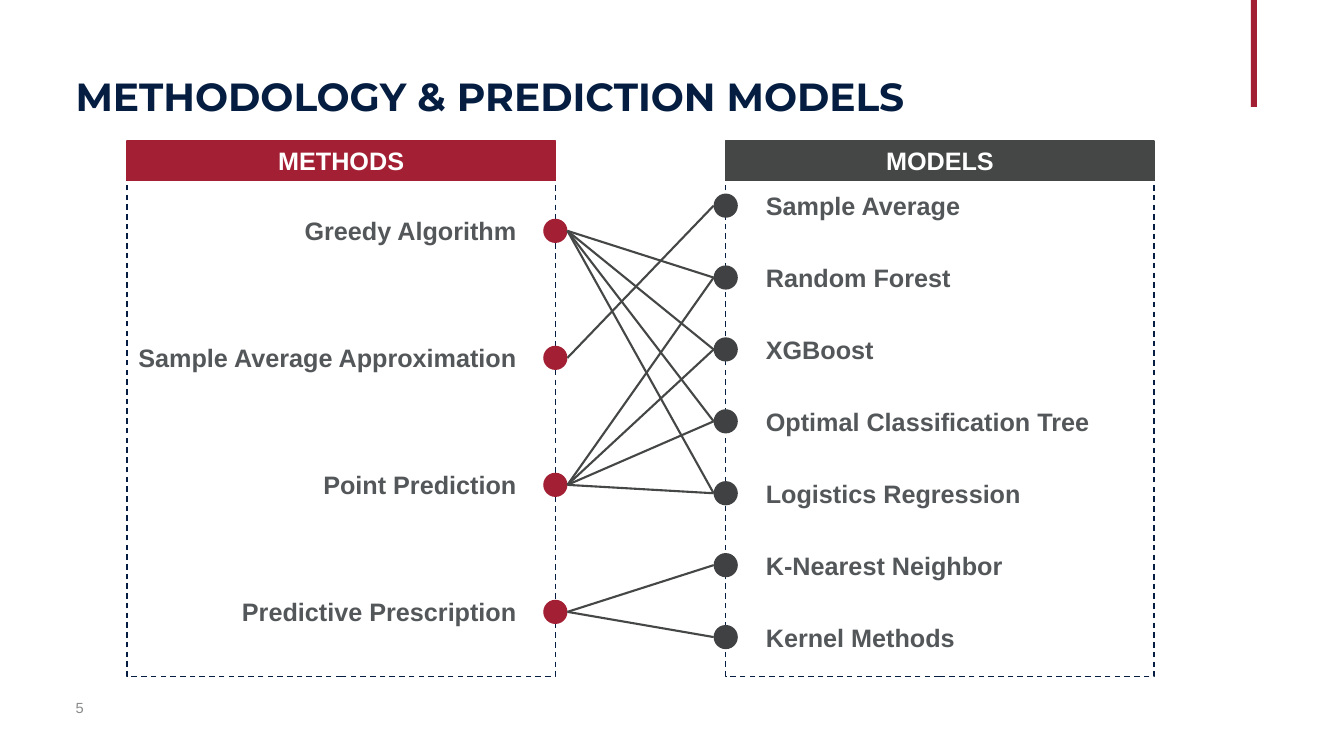
from lxml.etree import SubElement
from pptx import Presentation
from pptx.dml.color import RGBColor
from pptx.enum.dml import MSO_LINE
from pptx.enum.shapes import MSO_CONNECTOR, MSO_SHAPE
from pptx.enum.text import MSO_ANCHOR, PP_ALIGN
from pptx.oxml.ns import qn
from pptx.util import Pt

TITLE = "METHODOLOGY & PREDICTION MODELS"
NUMBER = "5"
METHODS = [
    ("Greedy Algorithm", 167, [1, 2, 3, 4]),
    ("Sample Average Approximation", 287.3, [0]),
    ("Point Prediction", 154, [1, 2, 3, 4]),
    ("Predictive Prescription", 212.4, [5, 6]),
]
MODELS = [
    ("Sample Average", 178.6),
    ("Random Forest", 178.6),
    ("XGBoost", 239.8),
    ("Optimal Classification Tree", 280.8),
    ("Logistics Regression", 239.8),
    ("K-Nearest Neighbor", 223.9),
    ("Kernel Methods", 182.2),
]
COLORS = {"red": "A31F34", "navy": "041D40", "dark": "454646", "dot": "3F4143",
          "text": "545759", "gray": "8A8B8C", "white": "FFFFFF"}

PANEL_W, PANEL_TOP, PANEL_H = 306, 127.4, 355.7
HEAD_TOP, HEAD_H = 100.8, 28.1
LEFT_X, RIGHT_X = 90.7, 518.4
DOT, LABEL_H = 17.28, 29
METHOD_X, METHOD_END, MODEL_START = LEFT_X + PANEL_W, 376, 540


def color(name):
    """Return the named colour."""
    return RGBColor.from_string(COLORS[name])


def shape(slide, kind, box, fill=None, line=None):
    """Add a flat shape with optional fill and line."""
    item = slide.shapes.add_shape(kind, *map(Pt, box))
    item.shadow.inherit = False
    if fill:
        item.fill.solid()
        item.fill.fore_color.rgb = color(fill)
    else:
        item.fill.background()
    if line:
        item.line.color.rgb = color(line)
        item.line.width = Pt(1)
    else:
        item.line.fill.background()
    return item


def write(item, text, size, tint, bold=True, font="Arial", align=PP_ALIGN.LEFT):
    """Set one styled line of text in a shape."""
    frame = item.text_frame
    frame.vertical_anchor = MSO_ANCHOR.MIDDLE
    para = frame.paragraphs[0]
    para.text, para.alignment = text, align
    para.font.name, para.font.size, para.font.bold = font, Pt(size), bold
    para.font.color.rgb = color(tint)
    return frame


def label(slide, box, text, *style, wrap=True, inset=7.2, **more):
    """Add a text box."""
    item = slide.shapes.add_textbox(*map(Pt, box))
    frame = write(item, text, *style, **more)
    frame.word_wrap, frame.margin_left = wrap, Pt(inset)


def dot(slide, x, y, fill):
    """Add a dot centred on a point."""
    shape(slide, MSO_SHAPE.OVAL, (x - DOT / 2, y - DOT / 2, DOT, DOT), fill)


def link(slide, start, end):
    """Join a method dot to a model dot."""
    line = slide.shapes.add_connector(MSO_CONNECTOR.STRAIGHT, *map(Pt, start + end))
    line.line.color.rgb = color("dark")
    line.line.width = Pt(1.5)
    SubElement(line._element.spPr, qn("a:effectLst"))


def main():
    """Build the slide and save it."""
    deck = Presentation()
    deck.slide_width, deck.slide_height = Pt(960), Pt(540)
    slide = deck.slides.add_slide(deck.slide_layouts[6])

    shape(slide, MSO_SHAPE.RECTANGLE, (893.5, 0, 4.3, 76.3), "red")
    for x in (RIGHT_X, LEFT_X):
        panel = shape(slide, MSO_SHAPE.RECTANGLE, (x, PANEL_TOP, PANEL_W, PANEL_H), line="navy")
        panel.line.dash_style = MSO_LINE.DASH
    label(slide, (54, 491, 19.4, 28.8), NUMBER, 10.5, "gray", bold=False, inset=0)
    label(slide, (54, 23.8, 707, 89.3), TITLE, 28, "navy", font="Montserrat", inset=0)

    method_ys = [164.9 + 90.72 * i for i in range(len(METHODS))]
    model_ys = [146.9 + 51.36 * i for i in range(len(MODELS))]
    for (text, width, targets), y in zip(METHODS, method_ys):
        label(slide, (METHOD_END - width, y - LABEL_H / 2, width, LABEL_H), text, 18, "text",
              wrap=False, align=PP_ALIGN.RIGHT)
        dot(slide, METHOD_X, y, "red")
        for target in targets:
            link(slide, (METHOD_X + DOT / 2, y), (RIGHT_X - DOT / 2, model_ys[target]))
    for (text, width), y in zip(MODELS, model_ys):
        label(slide, (MODEL_START, y - LABEL_H / 2, width, LABEL_H), text, 18, "text")
        dot(slide, RIGHT_X, y, "dot")

    for text, x, fill in (("METHODS", LEFT_X, "red"), ("MODELS", RIGHT_X, "dark")):
        head = shape(slide, MSO_SHAPE.RECTANGLE, (x, HEAD_TOP, PANEL_W, HEAD_H), fill, fill)
        write(head, text, 18, "white", align=PP_ALIGN.CENTER)

    deck.save("out.pptx")


if __name__ == "__main__":
    main()
